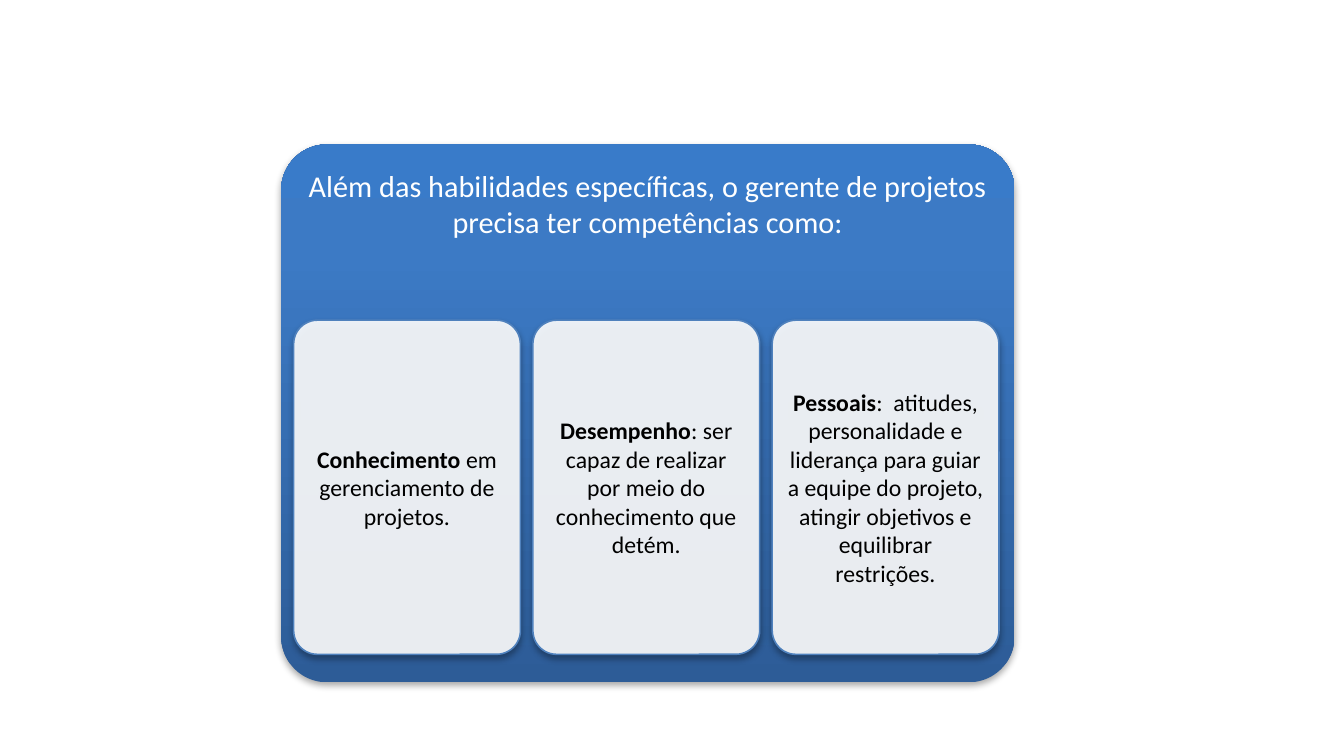
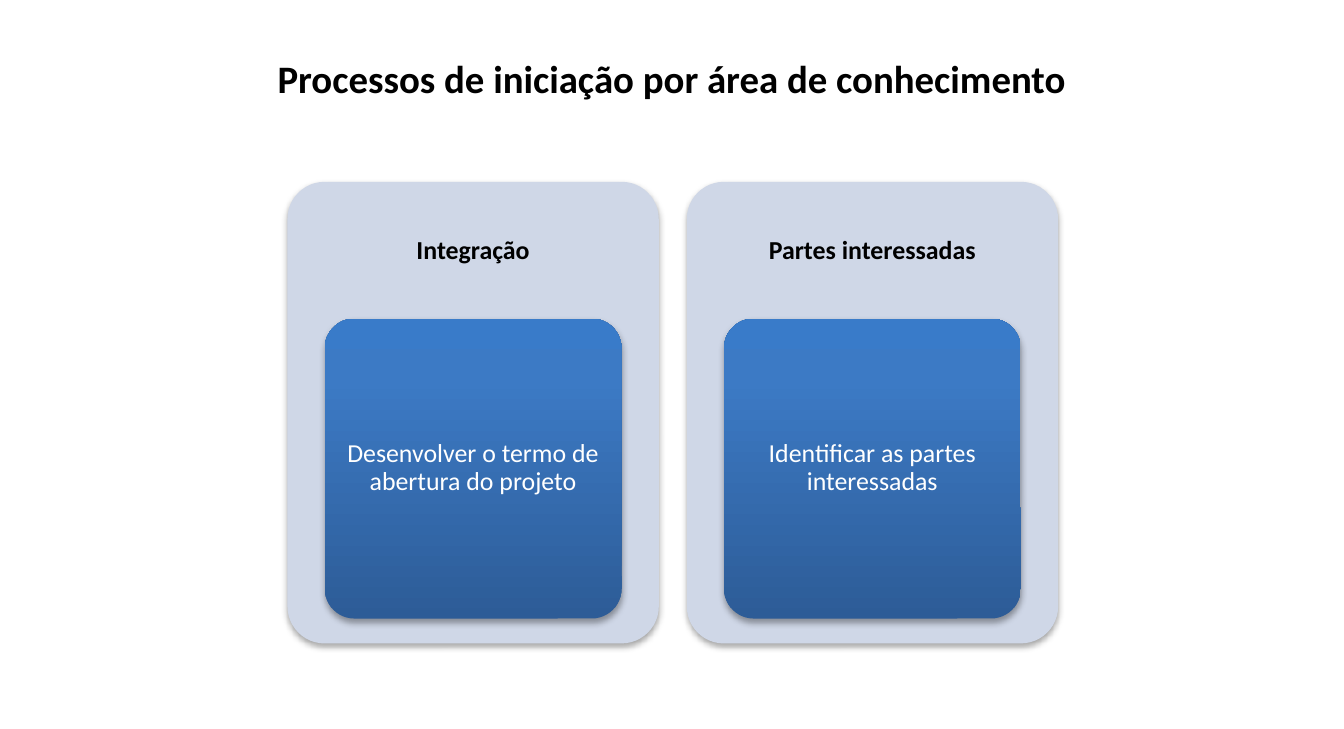
from copy import deepcopy

from pptx import Presentation
from pptx import util as u
from pptx.dml import color
from pptx.enum import shapes, text
from pptx.oxml import parse_xml
from pptx.oxml import ns

FONT = "Calibri"
BLACK = "000000"
WHITE = "FFFFFF"
PALE_BLUE = "CFD7E7"
CARD_LINE = "4F81BD"
BLUE_STOPS = [(0, "2D5C97"), (0.8, "3C7AC5"), (1, "397BC9")]
SLIDE_WIDTH, SLIDE_HEIGHT = 8.65, 4.69

SHADOW_XML = (
    f'<a:outerShdw {ns.nsdecls("a")} blurRad="{u.Pt(3.1)}" dist="{u.Pt(1.8)}" '
    'dir="5400000" rotWithShape="0">'
    '<a:srgbClr val="000000"><a:alpha val="35000"/></a:srgbClr></a:outerShdw>'
)

COMPETENCES = [
    ("Conhecimento", " em gerenciamento de projetos."),
    ("Desempenho", ": ser capaz de realizar por meio do conhecimento que detém."),
    ("Pessoais", ":  atitudes, personalidade e liderança para guiar a equipe do projeto, "
                 "atingir objetivos e equilibrar restrições."),
]
PROCESSES = [
    ("Integração", "Desenvolver o termo de abertura do projeto"),
    ("Partes interessadas", "Identificar as partes interessadas"),
]


def rgb(value):
    return color.RGBColor.from_string(value)


def apply_format(target, values):
    for name, value in values.items():
        setattr(target, name, value)


def write_text(shape, runs, size, fill, insets, anchor=text.MSO_ANCHOR.MIDDLE, spacing=1.0):
    frame = shape.text_frame
    sides = ("margin_left", "margin_top", "margin_right", "margin_bottom")
    margins = {side: u.Inches(inset) for side, inset in zip(sides, insets)}
    apply_format(frame, {"word_wrap": True, "vertical_anchor": anchor, **margins})
    paragraph = frame.paragraphs[0]
    apply_format(paragraph, {"alignment": text.PP_ALIGN.CENTER, "line_spacing": spacing})
    for words, bold in runs:
        run = paragraph.add_run()
        run.text = words
        apply_format(run.font, {"name": FONT, "size": u.Pt(size), "bold": bold})
        run.font.color.rgb = rgb(fill)


def add_rounded(slide, box, corner):
    shape = slide.shapes.add_shape(
        shapes.MSO_SHAPE.ROUNDED_RECTANGLE, *map(u.Inches, box))
    shape.adjustments[0] = corner
    shape.line.fill.background()
    shape.shadow.inherit = False
    effects = shape.element.spPr.find(ns.qn("a:effectLst"))
    effects.append(parse_xml(SHADOW_XML))
    return shape


def fill_solid(shape, value, opacity=100):
    shape.fill.solid()
    shape.fill.fore_color.rgb = rgb(value)
    if opacity < 100:
        tone = shape.element.spPr.find(ns.qn("a:solidFill"))[0]
        tone.append(parse_xml(f'<a:alpha {ns.nsdecls("a")} val="{opacity * 1000}"/>'))


def fill_blue(shape):
    shape.fill.gradient()
    shape.fill.gradient_angle = 90
    stops = shape.element.spPr.find(ns.qn("a:gradFill")).find(ns.qn("a:gsLst"))
    stops.append(deepcopy(stops[0]))
    for stop, (position, value) in zip(shape.fill.gradient_stops, BLUE_STOPS):
        stop.position = position
        stop.color.rgb = rgb(value)


def add_title(slide, words):
    title = slide.shapes.add_textbox(*map(u.Inches, (0, 0.3, SLIDE_WIDTH, 0.4)))
    write_text(title, [(words, True)], 18, BLACK, (0.1, 0.05, 0.1, 0.05),
               text.MSO_ANCHOR.TOP)


def add_blue_panel(slide, words):
    panel = add_rounded(slide, (1.81, 0.93, 4.72, 3.46), 0.085)
    fill_blue(panel)
    write_text(panel, [(words, False)], 14, WHITE, (0.06, 0.06, 0.06, 2.14),
               text.MSO_ANCHOR.TOP)


def add_card(slide, left, name, description):
    card = add_rounded(slide, (left, 2.06, 1.46, 2.15), 0.105)
    fill_solid(card, WHITE, 90)
    card.line.color.rgb = rgb(CARD_LINE)
    card.line.width = u.Pt(0.75)
    write_text(card, [(name, True), (description, False)], 11, BLACK, [0.05] * 4)


def add_process_column(slide, left, area, process):
    column = add_rounded(slide, (left, 1.17, 2.39, 2.97), 0.1)
    fill_solid(column, PALE_BLUE)
    write_text(column, [(area, True)], 12, BLACK, (0.05, 0, 0.05, 2.08), spacing=0.9)
    block = add_rounded(slide, (left + 0.24, 2.05, 1.91, 1.93), 0.1)
    fill_blue(block)
    write_text(block, [(process, False)], 12, WHITE, (0.03, 0.02, 0.03, 0.02), spacing=0.9)


def build_competences(slide):
    add_blue_panel(slide, "Além das habilidades específicas, o gerente de projetos "
                          "precisa ter competências como:")
    for index, (name, description) in enumerate(COMPETENCES):
        add_card(slide, 1.89 + index * 1.54, name, description)


def build_processes(slide):
    add_title(slide, "Processos de iniciação por área de conhecimento")
    for index, (area, process) in enumerate(PROCESSES):
        add_process_column(slide, 1.85 + index * 2.57, area, process)


def main():
    presentation = Presentation()
    apply_format(presentation, {"slide_width": u.Inches(SLIDE_WIDTH),
                                "slide_height": u.Inches(SLIDE_HEIGHT)})
    for build in (build_competences, build_processes):
        build(presentation.slides.add_slide(presentation.slide_layouts[6]))
    presentation.save("out.pptx")


if __name__ == "__main__":
    main()
